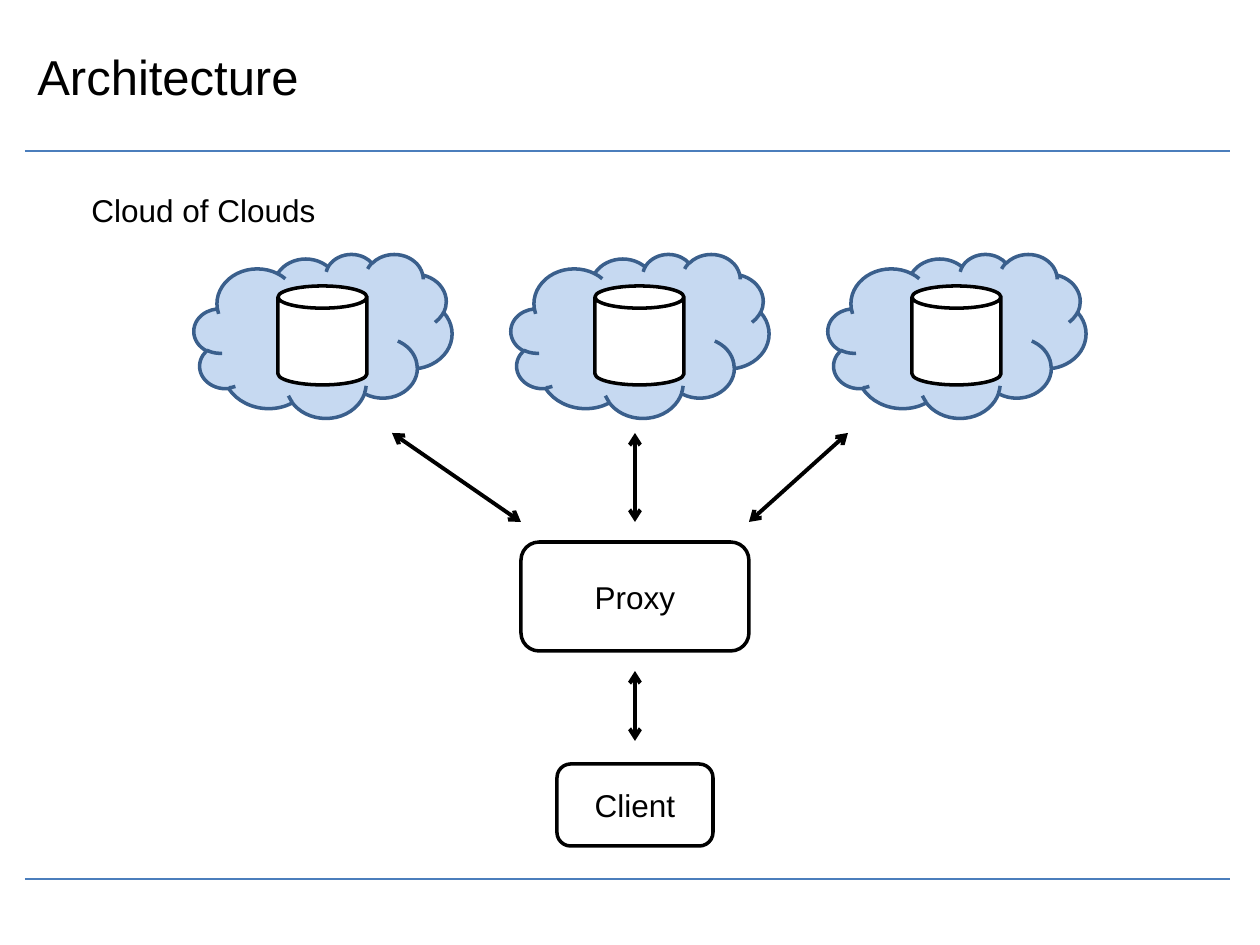
import pptx
import pptx.dml.color
import pptx.enum.shapes
import pptx.enum.text
import pptx.oxml.ns
import pptx.util
from lxml import etree

COLORS = {"black": "000000", "white": "FFFFFF", "rule": "4B7EBC",
          "cloud": "C6D9F1", "cloud_edge": "3A5F8C"}
EMU_PER_INCH, PX_PER_INCH = 914400, 126
SHAPE = pptx.enum.shapes.MSO_SHAPE
ANCHOR = pptx.enum.text.MSO_ANCHOR
ALIGN = pptx.enum.text.PP_ALIGN


def px(*lengths):
    """Turn pixel lengths into a list of EMU lengths."""
    return [pptx.util.Emu(round(n * EMU_PER_INCH / PX_PER_INCH)) for n in lengths]


def color(name):
    return pptx.dml.color.RGBColor.from_string(COLORS[name])


def set_text(shape, text, size, anchor, align):
    frame = shape.text_frame
    frame.text = text
    frame.word_wrap = True
    frame.vertical_anchor = anchor
    para = frame.paragraphs[0]
    para.alignment = align
    font = para.runs[0].font
    font.name = "Arial"
    font.size = pptx.util.Pt(size)
    font.color.rgb = color("black")


def add_label(page, bounds, text, size, anchor=ANCHOR.TOP):
    box = page.shapes.add_textbox(*px(*bounds))
    set_text(box, text, size, anchor, ALIGN.LEFT)


def add_outlined(shapes, kind, bounds, edge="black", fill=None):
    shape = shapes.add_shape(kind, *px(*bounds))
    shape.shadow.inherit = False
    if fill:
        shape.fill.solid()
        shape.fill.fore_color.rgb = color(fill)
    else:
        shape.fill.background()
    shape.line.color.rgb = color(edge)
    shape.line.width = pptx.util.Pt(2)
    return shape


def add_node(page, bounds, text):
    node = add_outlined(page.shapes, SHAPE.ROUNDED_RECTANGLE, bounds)
    set_text(node, text, 18, ANCHOR.MIDDLE, ALIGN.CENTER)


def add_storage_cloud(page, left):
    group = page.shapes.add_group_shape()
    add_outlined(group.shapes, SHAPE.CLOUD, (left, 254, 258, 164), "cloud_edge", "cloud")
    add_outlined(group.shapes, SHAPE.CAN, (left + 84, 286, 89, 99), "black", "white")


def add_line(page, ends, stroke, width):
    line = page.shapes.add_connector(pptx.enum.shapes.MSO_CONNECTOR.STRAIGHT, *px(*ends))
    line.line.color.rgb = color(stroke)
    line.line.width = pptx.util.Pt(width)
    etree.SubElement(line._element.spPr, pptx.oxml.ns.qn("a:effectLst"))
    return line


def add_double_arrow(page, ends):
    outline = add_line(page, ends, "black", 2.25).line._get_or_add_ln()
    for end in ("a:headEnd", "a:tailEnd"):
        etree.SubElement(outline, pptx.oxml.ns.qn(end), type="arrow")


def main():
    """Build the architecture slide and save it."""
    deck = pptx.Presentation()
    deck.slide_width, deck.slide_height = px(1260, 945)
    page = deck.slides.add_slide(deck.slide_layouts[6])

    for top in (879, 151):
        add_line(page, (25, top, 1230, top), "rule", 0.75)
    add_label(page, (25, 17, 1205, 117), "Architecture", 28, ANCHOR.MIDDLE)
    add_label(page, (79, 185, 581, 50), "Cloud of Clouds", 18)

    for column in range(3):
        add_storage_cloud(page, 194 + 317 * column)
    add_node(page, (521, 542, 228, 109), "Proxy")
    add_node(page, (557, 764, 156, 82), "Client")

    for proxy_x, cloud_x in ((521, 392), (635, 635), (749, 848)):
        add_double_arrow(page, (proxy_x, 522, cloud_x, 433))
    add_double_arrow(page, (635, 671, 635, 741))

    deck.save("out.pptx")


if __name__ == "__main__":
    main()
